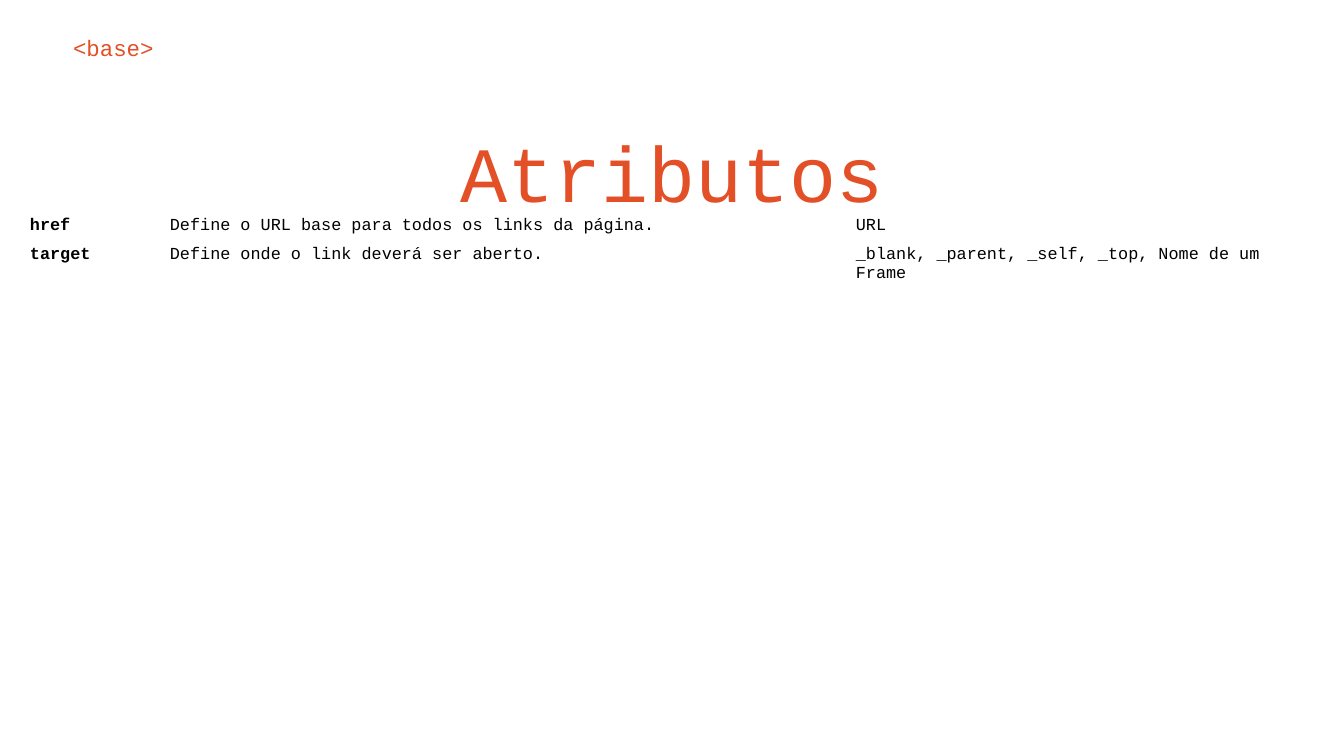
import pptx
import pptx.dml.color
import pptx.enum.text
import pptx.util

ORANGE = "E34F26"
BLACK = "000000"
FONT = "Courier New"
EMU_PER_PX = 914400 / 134.4


def px(value):
    return pptx.util.Emu(round(value * EMU_PER_PX))


def rgb(value):
    return pptx.dml.color.RGBColor.from_string(value)


class SlideBuilder:
    def __init__(self, s):
        self.s = s

    def format_runs(self, tf, size, color, bold=False):
        for p in tf.paragraphs:
            for r in p.runs:
                r.font.name = FONT
                r.font.size = pptx.util.Pt(size)
                r.font.bold = bold
                r.font.color.rgb = rgb(color)

    def heading(self, sp, text, box, size, align):
        sp.left, sp.top, sp.width, sp.height = map(px, box)
        tf = sp.text_frame
        tf.text = text
        tf.word_wrap = True
        tf.auto_size = pptx.enum.text.MSO_AUTO_SIZE.NONE
        tf.vertical_anchor = pptx.enum.text.MSO_ANCHOR.TOP
        tf.margin_left = tf.margin_right = px(13)
        tf.margin_top = tf.margin_bottom = px(13)
        p = tf.paragraphs[0]
        p.alignment = align
        p.line_spacing = 1.15
        p.space_before = pptx.util.Pt(0)
        self.format_runs(tf, size, ORANGE)

    def title(self, text, box, size, align):
        self.heading(self.s.shapes.title, text, box, size, align)

    def text(self, text, box, size, align):
        sp = self.s.shapes.add_textbox(*map(px, box))
        self.heading(sp, text, box, size, align)

    def table(self, rows, left, top, widths, row_height):
        table = self.s.shapes.add_table(
            len(rows), len(widths), px(left), px(top),
            px(sum(widths)), px(row_height * len(rows))).table
        table.first_row = False
        table.horz_banding = False
        for column, width in zip(table.columns, widths):
            column.width = px(width)
        for i, row in enumerate(rows):
            table.rows[i].height = px(row_height)
            for j, text in enumerate(row):
                self.cell(table.cell(i, j), text, bold=j == 0)

    def cell(self, cell, text, bold):
        cell.fill.background()
        cell.margin_left = cell.margin_right = px(5)
        cell.margin_top = cell.margin_bottom = px(5)
        cell.vertical_anchor = pptx.enum.text.MSO_ANCHOR.TOP
        cell.text_frame.text = text
        self.format_runs(cell.text_frame, 9, BLACK, bold)


def main():
    prs = pptx.Presentation()
    prs.slide_width = px(1344)
    prs.slide_height = px(756)
    slide = SlideBuilder(prs.slides.add_slide(prs.slide_layouts[5]))
    align = pptx.enum.text.PP_ALIGN
    slide.title("<base>", (60, 17, 1234, 57), 12, align.LEFT)
    slide.text("Atributos", (96, 97, 1152, 116), 42, align.CENTER)
    attributes = [
        ("href", "Define o URL base para todos os links da página.", "URL"),
        ("target", "Define onde o link deverá ser aberto.",
         "_blank, _parent, _self, _top, Nome de um Frame"),
    ]
    slide.table(attributes, 25, 212, (140, 686, 453), 27)
    prs.save("out.pptx")


if __name__ == "__main__":
    main()
